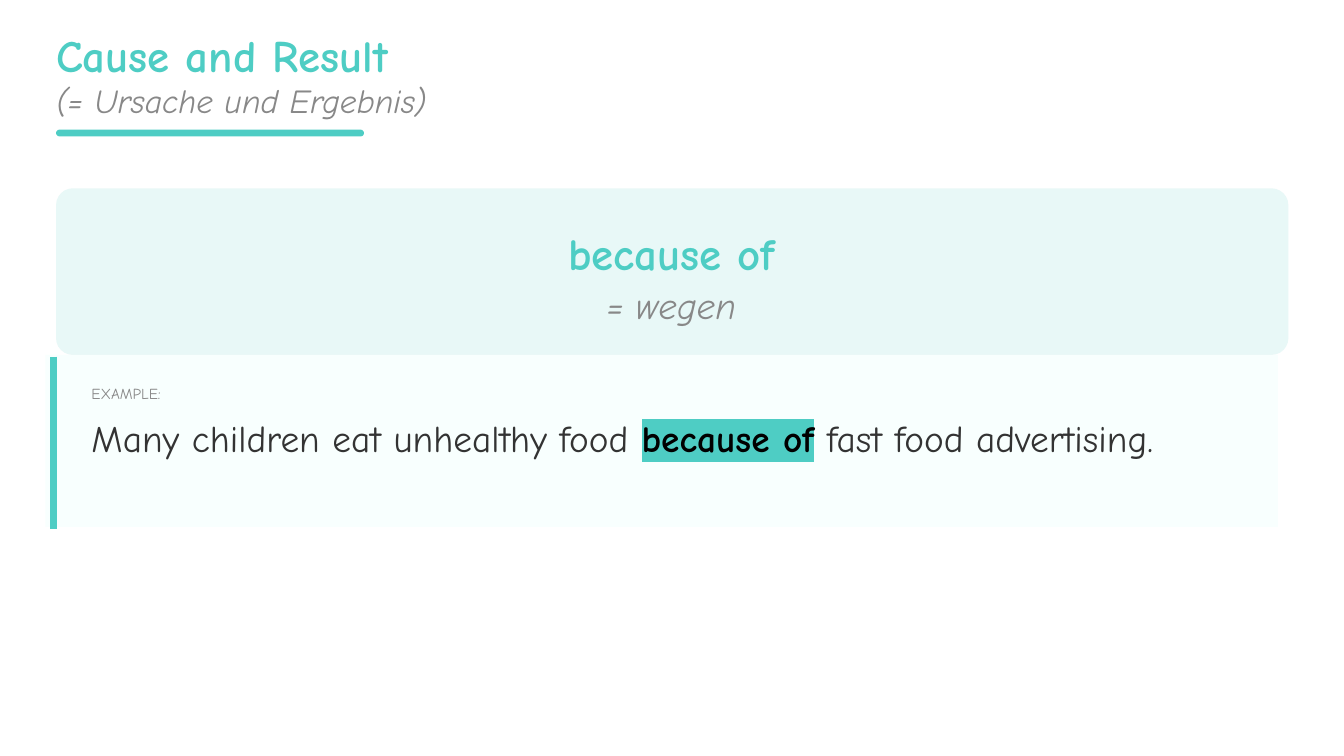
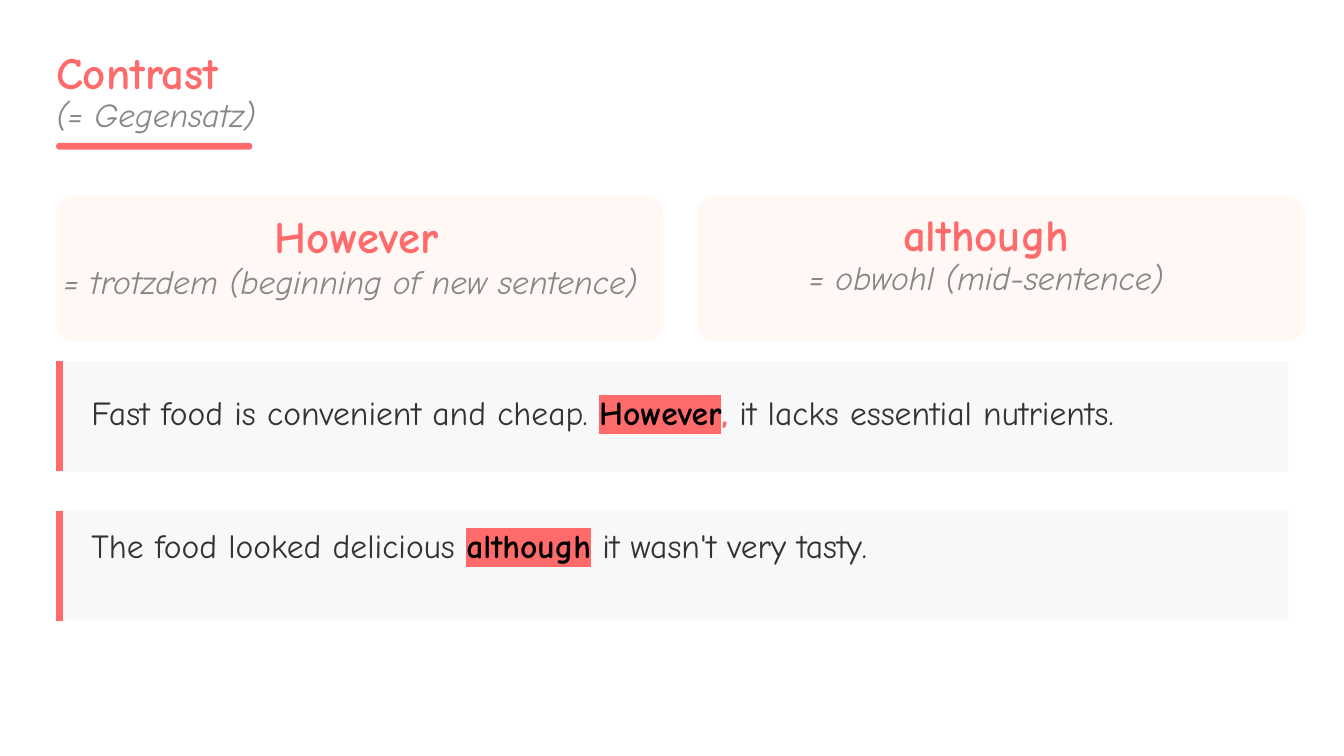
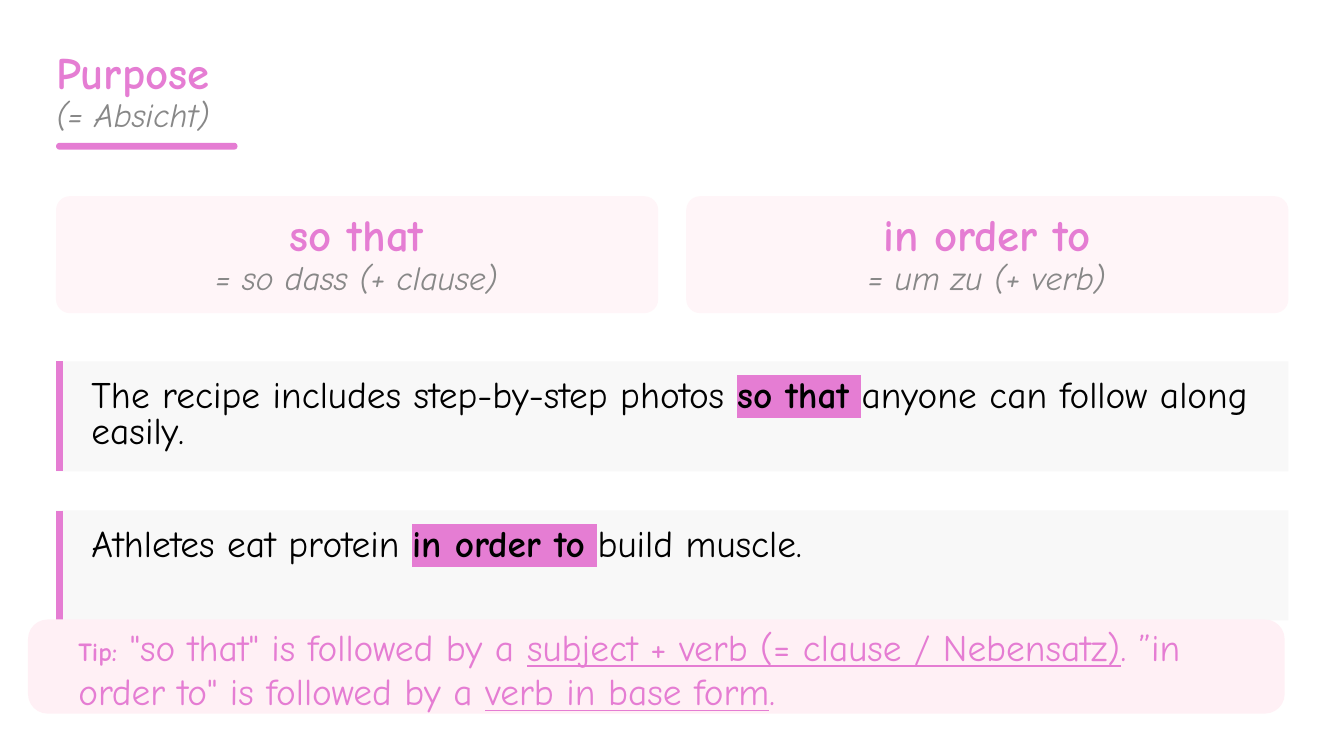
from lxml.etree import SubElement
from pptx import Presentation
from pptx.dml.color import RGBColor
from pptx.enum.shapes import MSO_CONNECTOR as CONN, MSO_SHAPE as SHAPE
from pptx.enum.text import PP_ALIGN as ALIGN
from pptx.oxml.ns import qn
from pptx.util import Cm, Pt

FONT = "Comic Neue"
WHITE = RGBColor(0xFF, 0xFF, 0xFF)
BLACK = RGBColor(0x00, 0x00, 0x00)
INK = RGBColor(0x33, 0x33, 0x33)
GREY = RGBColor(0x88, 0x88, 0x88)
PALE_GREY = RGBColor(0xF8, 0xF8, 0xF8)
TEAL = RGBColor(0x4E, 0xCD, 0xC4)
TEAL_CARD = RGBColor(0xE8, 0xF8, 0xF7)
TEAL_PALE = RGBColor(0xF8, 0xFF, 0xFE)
CORAL = RGBColor(0xFF, 0x6B, 0x6B)
CORAL_CARD = RGBColor(0xFF, 0xF8, 0xF5)
PINK = RGBColor(0xE5, 0x7D, 0xD3)
PINK_CARD = RGBColor(0xFF, 0xF5, 0xF8)
PINK_TIP = RGBColor(0xFF, 0xF0, 0xF5)

LEFT, WIDTH = 1.06, 23.29
CARD_Y, CARD_TEXT_W = 3.71, 10.52
EXAMPLE_YS, EXAMPLE_H = (6.83, 9.65), 2.08


def new_slide(prs):
    """Add a blank slide with a white background."""
    s = prs.slides.add_slide(prs.slide_layouts[6])
    s.background.fill.solid()
    s.background.fill.fore_color.rgb = WHITE
    return s


def panel(s, x, y, w, h, fill, corner=None):
    """Draw a filled rectangle, rounded if a corner ratio is given."""
    kind = SHAPE.RECTANGLE if corner is None else SHAPE.ROUNDED_RECTANGLE
    sp = s.shapes.add_shape(kind, Cm(x), Cm(y), Cm(w), Cm(h))
    sp.shadow.inherit = False
    sp.fill.solid()
    sp.fill.fore_color.rgb = fill
    sp.line.fill.background()
    if corner is not None:
        sp.adjustments[0] = corner


def add_run(p, text, size, color, bold=False, italic=False, underline=False, highlight=None):
    """Append one formatted run to a paragraph."""
    r = p.add_run()
    r.text = text
    f = r.font
    f.name, f.size, f.bold, f.italic, f.underline = FONT, Pt(size), bold, italic, underline
    f.color.rgb = color
    if highlight is not None:
        mark = SubElement(r._r.rPr, qn("a:highlight"))
        SubElement(mark, qn("a:srgbClr"), val=str(highlight))
        r._r.rPr.find(qn("a:solidFill")).addnext(mark)


def text_box(s, x, y, w, h, runs, size, color, spacing=None, before=0, align=ALIGN.LEFT, **style):
    """Place one paragraph made of (text, changes) runs or of a plain string."""
    tf = s.shapes.add_textbox(Cm(x), Cm(y), Cm(w), Cm(h)).text_frame
    tf.word_wrap = True
    tf.margin_left = tf.margin_right = tf.margin_top = tf.margin_bottom = 0
    p = tf.paragraphs[0]
    p.alignment = align
    p.space_before = Pt(before)
    if spacing:
        p.line_spacing = Pt(spacing)
    for text, changes in [(runs, {})] if isinstance(runs, str) else runs:
        add_run(p, text, **{"size": size, "color": color, **style, **changes})


def heading(s, y, title, meaning, color, bar_w, step=0.99, before=4.5):
    """Write the slide title and its translation above a rounded bar."""
    text_box(s, LEFT, y, 11.91, 0.84, title, 24, color, 24, bold=True)
    text_box(s, LEFT, y + step, 23.75, 0.51, meaning, 18, GREY, 14.7, before, italic=True)
    panel(s, LEFT, y + step + 0.69, bar_w, 0.13, color, 0.5)


def card(s, x, y, w, h, word, meaning, color, fill, corner=0.119,
         word_at=(0.42, 0.33, CARD_TEXT_W), meaning_at=(0.42, 1.42, CARD_TEXT_W),
         word_spacing=25.2, meaning_spacing=13.7, before=6, size=18):
    """Draw a vocabulary card with a centred word over its meaning."""
    panel(s, x, y, w, h, fill, corner)
    dx, dy, text_w = word_at
    text_box(s, x + dx, y + dy, text_w, 0.89, word, 24, color, word_spacing,
             align=ALIGN.CENTER, bold=True)
    dx, dy, text_w = meaning_at
    text_box(s, x + dx, y + dy, text_w, 0.5, meaning, size, GREY, meaning_spacing, before,
             ALIGN.CENTER, italic=True)


def example(s, x, y, h, runs, color, fill=PALE_GREY, size=18, ink=INK,
            line_dx=0.07, line_dy=0, text_dx=0.67, text_dy=0.36, spacing=19.1):
    """Draw an example sentence on a panel with a coloured left edge."""
    panel(s, x, y, WIDTH, h, fill)
    edge_x, edge_y = Cm(x + line_dx), y + line_dy
    edge = s.shapes.add_connector(CONN.STRAIGHT, edge_x, Cm(edge_y), edge_x, Cm(edge_y + h))
    edge.line.color.rgb = color
    edge.line.width = Pt(3.75)
    SubElement(edge._element.spPr, qn("a:effectLst"))
    text_box(s, x + text_dx, y + text_dy, 22.5, 0.7, runs, size, ink, spacing)


def key(text, color):
    """Return a highlighted bold run."""
    return text, {"bold": True, "color": BLACK, "highlight": color}


def cause_slide(prs):
    """Build the slide on cause and result."""
    s = new_slide(prs)
    heading(s, 0.69, "Cause and Result", "(= Ursache und Ergebnis)", TEAL, 5.82, 1.07, 6)
    card(s, LEFT, 3.56, WIDTH, 3.15, "because of", "= wegen", TEAL, TEAL_CARD, 0.101,
         (0.57, 0.53, 22.12), (0.57, 2.03, 22.12), 33.6, 16.8, 9, 20)
    x, y = 0.86, 6.71
    example(s, x, y, 3.25, [
        ("Many children eat unhealthy food ", {}),
        key("because of", TEAL),
        (" fast food advertising.", {}),
    ], TEAL, TEAL_PALE, 20, line_dx=0.15, line_dy=0.03, text_dx=0.87, text_dy=1.14, spacing=24)
    text_box(s, x + 0.87, y + 0.5, 22.28, 0.41, "EXAMPLE:", 8.2, GREY, 11.6)


def contrast_slide(prs):
    """Build the slide on contrast."""
    s = new_slide(prs)
    heading(s, 1.02, "Contrast", "(= Gegensatz)", CORAL, 3.71)
    w, h = 11.48, 2.74
    card(s, LEFT, CARD_Y, w, h, "However", "= trotzdem (beginning of new sentence)",
         CORAL, CORAL_CARD, word_at=(0.42, 0.36, CARD_TEXT_W),
         meaning_at=(-0.22, 1.22, 11.58), meaning_spacing=None)
    card(s, 13.18, CARD_Y, w, h, "although", "= obwohl (mid-sentence)", CORAL, CORAL_CARD,
         word_at=(0.2, 0.33, CARD_TEXT_W), meaning_at=(0.2, 1.42, CARD_TEXT_W))
    sentences = [
        ([("Fast food is convenient and cheap. ", {}), key("However", CORAL),
          (",", {"bold": True, "color": CORAL}), (" it lacks essential nutrients.", {})], 0.67),
        ([("The food looked delicious ", {}), key("although", CORAL),
          (" it wasn't very tasty.", {})], 0.36),
    ]
    for y, (runs, text_dy) in zip(EXAMPLE_YS, sentences):
        example(s, LEFT, y, EXAMPLE_H, runs, CORAL, text_dy=text_dy)


def tip(s, x, y, w, h):
    """Draw the rounded tip box with its underlined grammar patterns."""
    panel(s, x, y, w, h, PINK_TIP, 0.209)
    text_box(s, x + 0.95, y + 0.08, 22.43, 1.65, [
        ("Tip:", {"size": 14, "bold": True}),
        (' "so that" is followed by a ', {}),
        ("subject + verb (= clause / Nebensatz)", {"underline": True}),
        ('. ”in order to" is followed by a ', {}),
        ("verb in base form", {"underline": True}),
        (".", {}),
    ], 20, PINK)


def purpose_slide(prs):
    """Build the slide on purpose."""
    s = new_slide(prs)
    heading(s, 1.02, "Purpose", "(= Absicht)", PINK, 3.43)
    w, gap = 11.38, 0.53
    words = [("so that", "= so dass (+ clause)"), ("in order to", "= um zu (+ verb)")]
    for i, (word, meaning) in enumerate(words):
        card(s, LEFT + i * (w + gap), CARD_Y, w, 2.21, word, meaning, PINK, PINK_CARD)
    sentences = [
        ("The recipe includes step-by-step photos ", "so that", "anyone can follow along easily."),
        ("Athletes eat protein ", "in order to", "build muscle."),
    ]
    for y, (start, word, end) in zip(EXAMPLE_YS, sentences):
        runs = [(start, {}), key(word, PINK), (" ", {"highlight": PINK}), (end, {})]
        example(s, LEFT, y, EXAMPLE_H, runs, PINK, size=20, ink=BLACK)
    tip(s, 0.53, 11.71, 23.75, 1.78)


def main():
    """Build and save the presentation."""
    prs = Presentation()
    prs.slide_width, prs.slide_height = Cm(25.4), Cm(14.29)
    cause_slide(prs)
    contrast_slide(prs)
    purpose_slide(prs)
    prs.save("out.pptx")


if __name__ == "__main__":
    main()
